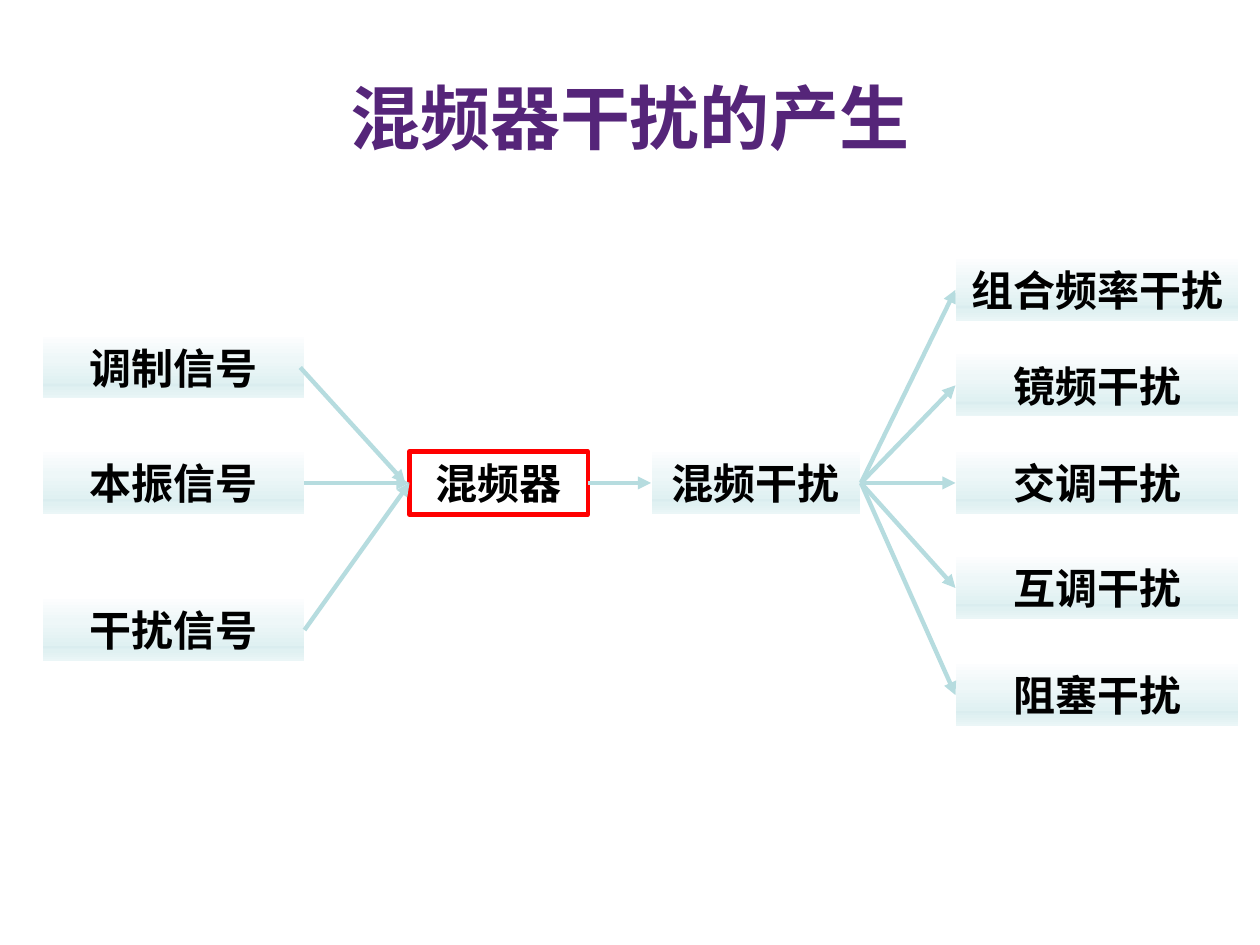
"""Build the slide on how mixer interference arises."""
from dataclasses import dataclass

from lxml import etree
from pptx import Presentation
from pptx import util as u
from pptx.dml.color import RGBColor
from pptx.enum import shapes, text
from pptx.oxml.ns import qn


@dataclass(frozen=True)
class Theme:
    """Colours, fonts and sizes of the slide."""
    title: str = "552579"
    ink: str = "000000"
    edge: str = "FFFFFF"
    accent: str = "FF0000"
    arrow: str = "B6DCDF"
    gradient: tuple = ((0, "FCFDFE"), (37, "EEF7F8"), (74, "E0F1F2"),
                       (77, "DAEDEF"), (83, "E0F1F2"), (100, "EBF6F7"))
    font: str = "Arial"
    cjk_font: str = "Noto Sans CJK SC"
    title_size: int = 40
    label_size: int = 24
    thin: float = 0.75
    thick: float = 2.5


THEME = Theme()
UNIT = u.Inches(1) // 12
BOX_ROWS = 6
MIDDLE_ROW = 43
TOP, LEFT, BOTTOM, RIGHT = range(4)

INPUTS = (("调制信号", 32), ("本振信号", MIDDLE_ROW), ("干扰信号", 57))
OUTPUTS = (("组合频率干扰", 24.6), ("镜频干扰", 33.7), ("交调干扰", MIDDLE_ROW),
           ("互调干扰", 53), ("阻塞干扰", 63.2))


def grid(count):
    """Return the length of a number of grid columns or rows."""
    return u.Emu(round(count * UNIT))


def write(frame, content, font_name, size, color):
    """Write one bold centred paragraph."""
    frame.text = content
    frame.vertical_anchor = text.MSO_ANCHOR.MIDDLE
    paragraph = frame.paragraphs[0]
    paragraph.alignment = text.PP_ALIGN.CENTER
    font = paragraph.font
    font.name, font.size, font.bold = font_name, u.Pt(size), True
    font.color.rgb = RGBColor.from_string(color)
    defaults = paragraph._p.pPr.find(qn("a:defRPr"))
    etree.SubElement(defaults, qn("a:ea"), typeface=THEME.cjk_font)


def add_title(slide, content):
    """Place and fill the title placeholder."""
    title = slide.shapes.title
    title.left, title.top = grid(6), grid(3.6)
    title.width, title.height = grid(108), grid(15)
    write(title.text_frame, content, THEME.cjk_font, THEME.title_size, THEME.title)


def fill_gradient(shape):
    """Fill a shape with the vertical theme gradient."""
    shape.fill.gradient()
    shape.fill.gradient_angle = 270
    stops = shape._element.spPr.find(qn("a:gradFill")).find(qn("a:gsLst"))
    for stop in list(stops):
        stops.remove(stop)
    for position, color in THEME.gradient:
        stop = etree.SubElement(stops, qn("a:gs"), pos=str(position * 1000))
        etree.SubElement(stop, qn("a:srgbClr"), val=color)


def add_box(slide, label, column, row, columns, outlined=False):
    """Add a labelled box, either outlined or with a gradient."""
    shape = slide.shapes.add_shape(shapes.MSO_SHAPE.RECTANGLE, grid(column),
                                   grid(row), grid(columns), grid(BOX_ROWS))
    shape.shadow.inherit = False
    if outlined:
        shape.fill.background()
    else:
        fill_gradient(shape)
    shape.line.color.rgb = RGBColor.from_string(THEME.accent if outlined else THEME.edge)
    shape.line.width = u.Pt(THEME.thick if outlined else THEME.thin)
    write(shape.text_frame, label, THEME.font, THEME.label_size, THEME.ink)
    shape.text_frame.word_wrap = True
    shape.text_frame.auto_size = text.MSO_AUTO_SIZE.SHAPE_TO_FIT_TEXT
    return shape


def add_arrow(slide, source, target, shift=0):
    """Join two boxes, or run beside their sides when shifted."""
    arrow = slide.shapes.add_connector(
        shapes.MSO_CONNECTOR.STRAIGHT,
        source.left + source.width + grid(shift), source.top + source.height // 2,
        target.left + grid(shift), target.top + target.height // 2)
    if not shift:
        arrow.begin_connect(source, RIGHT)
        arrow.end_connect(target, LEFT)
    arrow.line.color.rgb = RGBColor.from_string(THEME.arrow)
    arrow.line.width = u.Pt(THEME.thick)
    etree.SubElement(arrow.line._get_or_add_ln(), qn("a:tailEnd"), type="triangle")
    etree.SubElement(arrow._element.spPr, qn("a:effectLst"))


def main():
    """Build and save the presentation."""
    presentation = Presentation()
    presentation.slide_width, presentation.slide_height = grid(120), grid(90)
    slide = presentation.slides.add_slide(presentation.slide_layouts[5])
    add_title(slide, "混频器干扰的产生")
    inputs = [add_box(slide, label, 4, row, 25) for label, row in INPUTS]
    mixer = add_box(slide, "混频器", 39, MIDDLE_ROW, 17, outlined=True)
    interference = add_box(slide, "混频干扰", 62, MIDDLE_ROW, 20)
    outputs = [add_box(slide, label, 91, row, 27) for label, row in OUTPUTS]
    for signal, shift in zip(inputs, (-0.4, 0, 0)):
        add_arrow(slide, signal, mixer, shift)
    add_arrow(slide, mixer, interference)
    for output in outputs:
        add_arrow(slide, interference, output)
    presentation.save("out.pptx")


if __name__ == "__main__":
    main()
